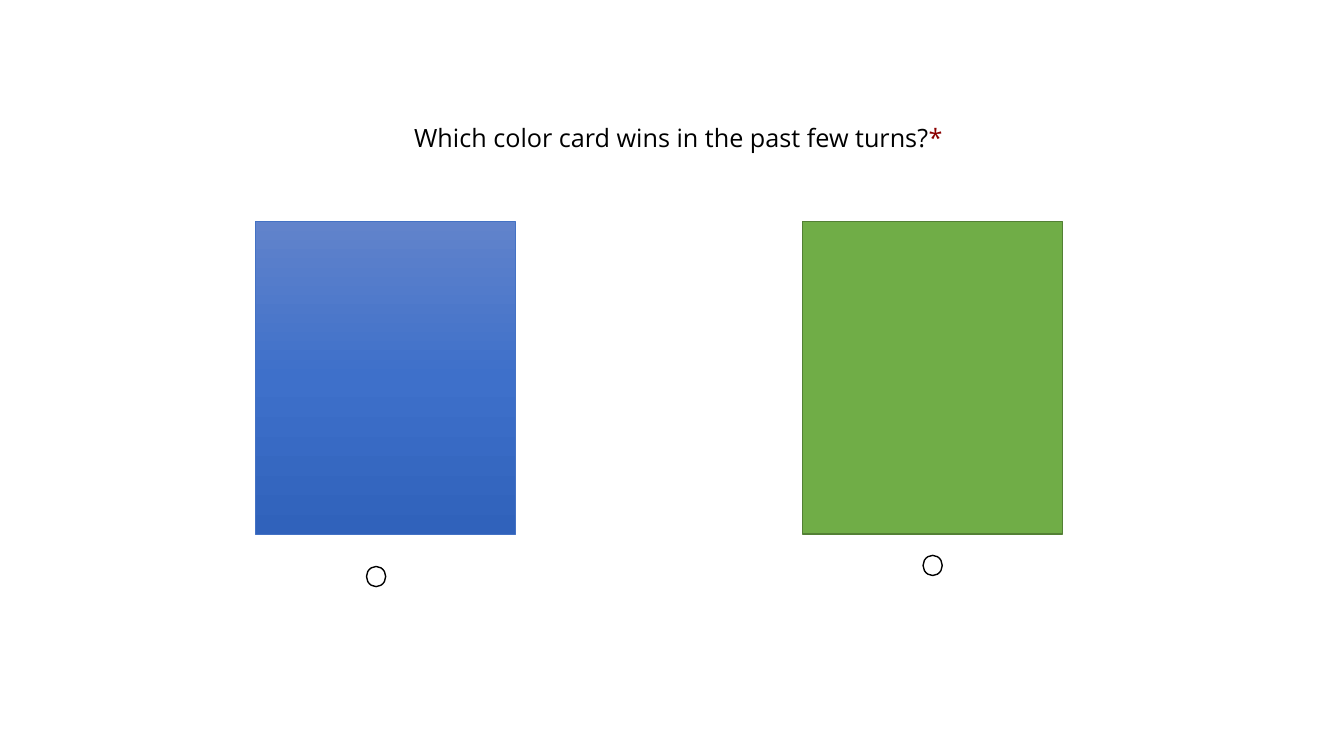
import pptx
import pptx.util
import pptx.dml.color
import pptx.enum.shapes
import pptx.enum.text
import pptx.oxml
import pptx.oxml.ns

WIDE, HIGH = 13.33, 7.5
CARD_W, CARD_H, CARD_TOP = 2.58, 3.1, 2.2
RING_W, RING_H = 0.19, 0.2
KIND = pptx.enum.shapes.MSO_SHAPE
INCH = pptx.util.Inches


def color(code):
    return pptx.dml.color.RGBColor.from_string(code)


def add_text(slide, box, runs, font="Open Sans", size=18):
    frame = slide.shapes.add_textbox(*map(INCH, box)).text_frame
    frame.word_wrap = True
    frame.auto_size = pptx.enum.text.MSO_AUTO_SIZE.SHAPE_TO_FIT_TEXT
    for text, code in runs:
        run = frame.paragraphs[0].add_run()
        run.text = text
        run.font.name = font
        run.font.size = pptx.util.Pt(size)
        run.font.color.rgb = color(code)


def add_shape(slide, kind, box, edge, width, fill=None):
    shape = slide.shapes.add_shape(kind, *map(INCH, box))
    shape.shadow.inherit = False
    shape.line.color.rgb = color(edge)
    shape.line.width = pptx.util.Pt(width)
    if fill is None:
        shape.fill.background()
    elif isinstance(fill, str):
        shape.fill.solid()
        shape.fill.fore_color.rgb = color(fill)
    else:
        blend(shape, fill)


def blend(shape, codes):
    """Fill from top to bottom with evenly spaced colours."""
    shape.fill.gradient()
    shape.fill.gradient_angle = 270
    grad = shape.fill._xPr.find(pptx.oxml.ns.qn("a:gradFill"))
    stops = grad.find(pptx.oxml.ns.qn("a:gsLst"))
    for stop in list(stops):
        stops.remove(stop)
    for i, code in enumerate(codes):
        spot = 100000 * i // (len(codes) - 1)
        stops.append(pptx.oxml.parse_xml(
            f'<a:gs {pptx.oxml.ns.nsdecls("a")} pos="{spot}">'
            f'<a:srgbClr val="{code}"/></a:gs>'))


def add_choice(slide, left, fill, edge, width, shift, gap):
    """A card with its radio ring; shift is the ring's offset from centre."""
    add_shape(slide, KIND.RECTANGLE, (left, CARD_TOP, CARD_W, CARD_H),
              edge, width, fill)
    ring = left + (CARD_W - RING_W) / 2 + shift
    add_shape(slide, KIND.OVAL,
              (ring, CARD_TOP + CARD_H + gap, RING_W, RING_H), "000000", 1)


def main():
    deck = pptx.Presentation()
    deck.slide_width, deck.slide_height = INCH(WIDE), INCH(HIGH)
    slide = deck.slides.add_slide(deck.slide_layouts[6])

    # Question
    add_text(slide, (4.01, 1.16, 6.37, 0.4),
             [("Which color card wins in the past few turns?", "000000"),
              ("*", "8B0000")])

    # Choices
    add_choice(slide, 2.53, ("6183CB", "3E70CA", "3062BB"), "4472C4", 0.5,
               shift=-0.09, gap=0.32)
    add_choice(slide, 7.96, "70AD47", "538035", 1, shift=0, gap=0.21)

    deck.save("out.pptx")


if __name__ == "__main__":
    main()
